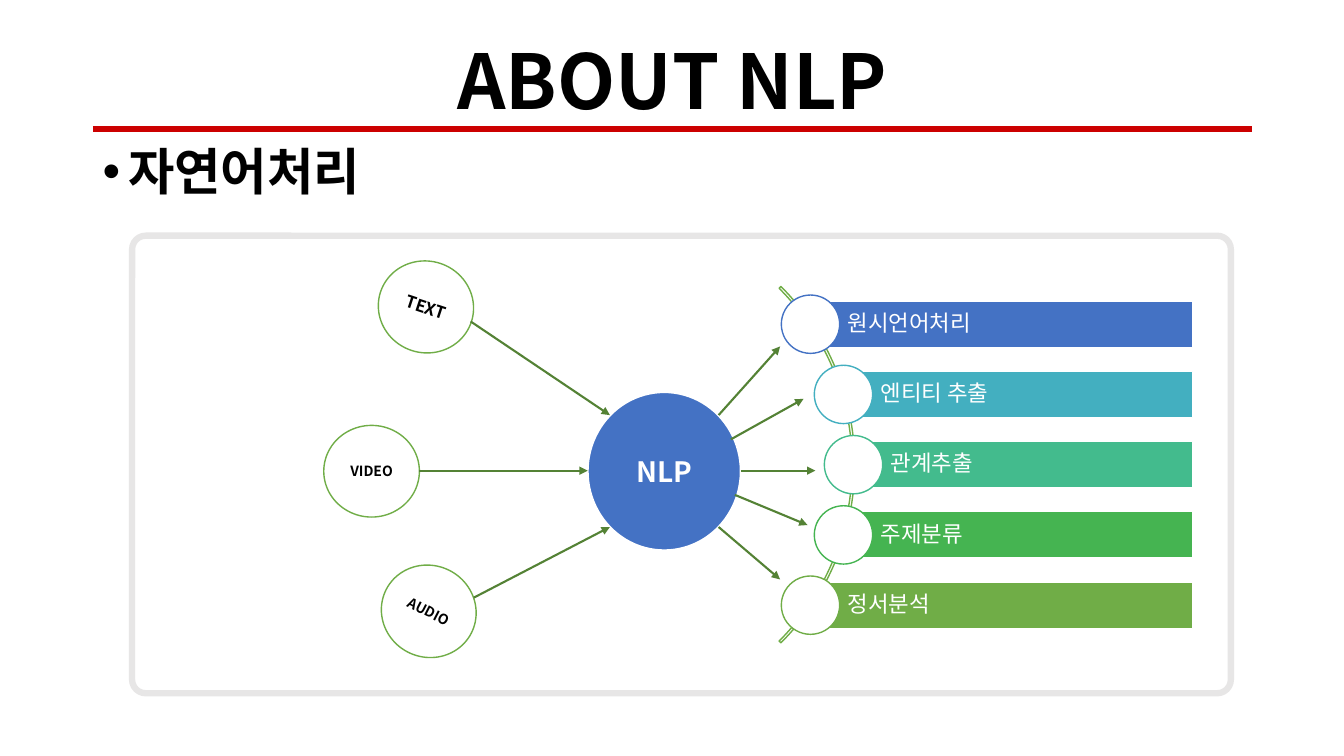
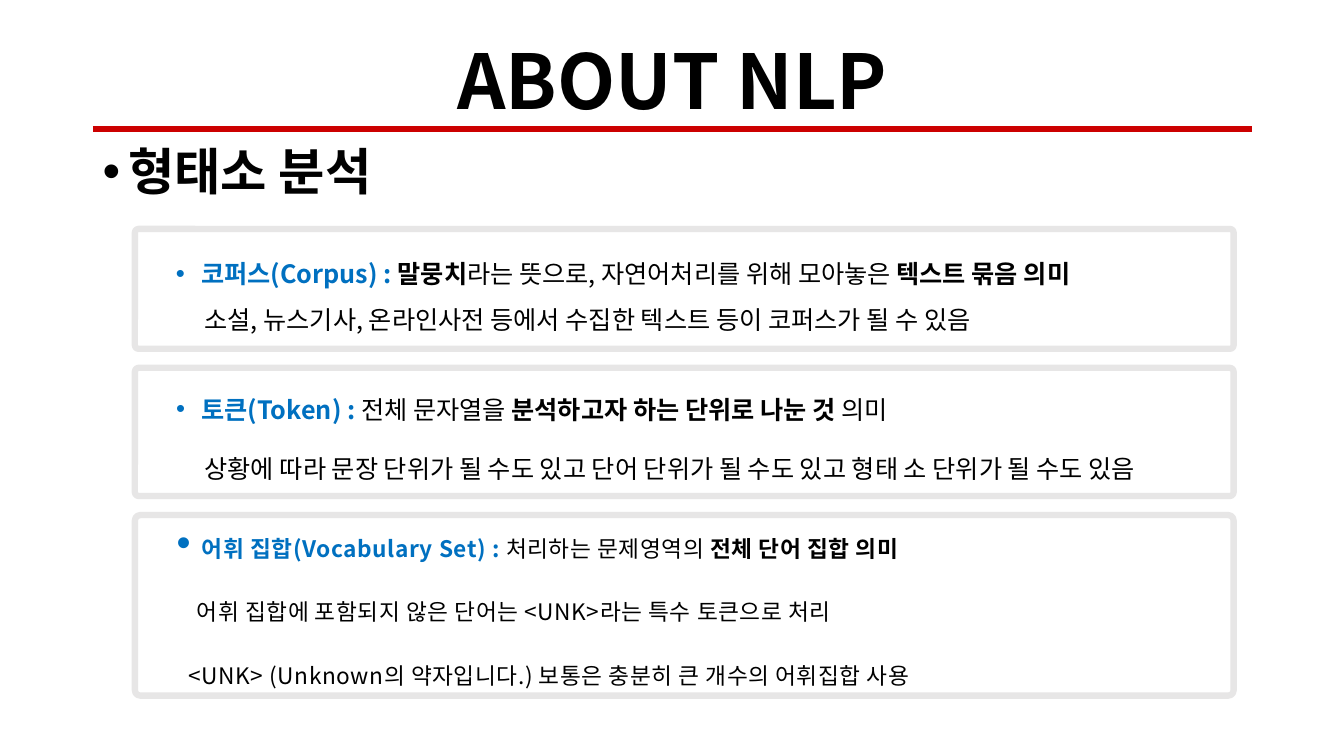
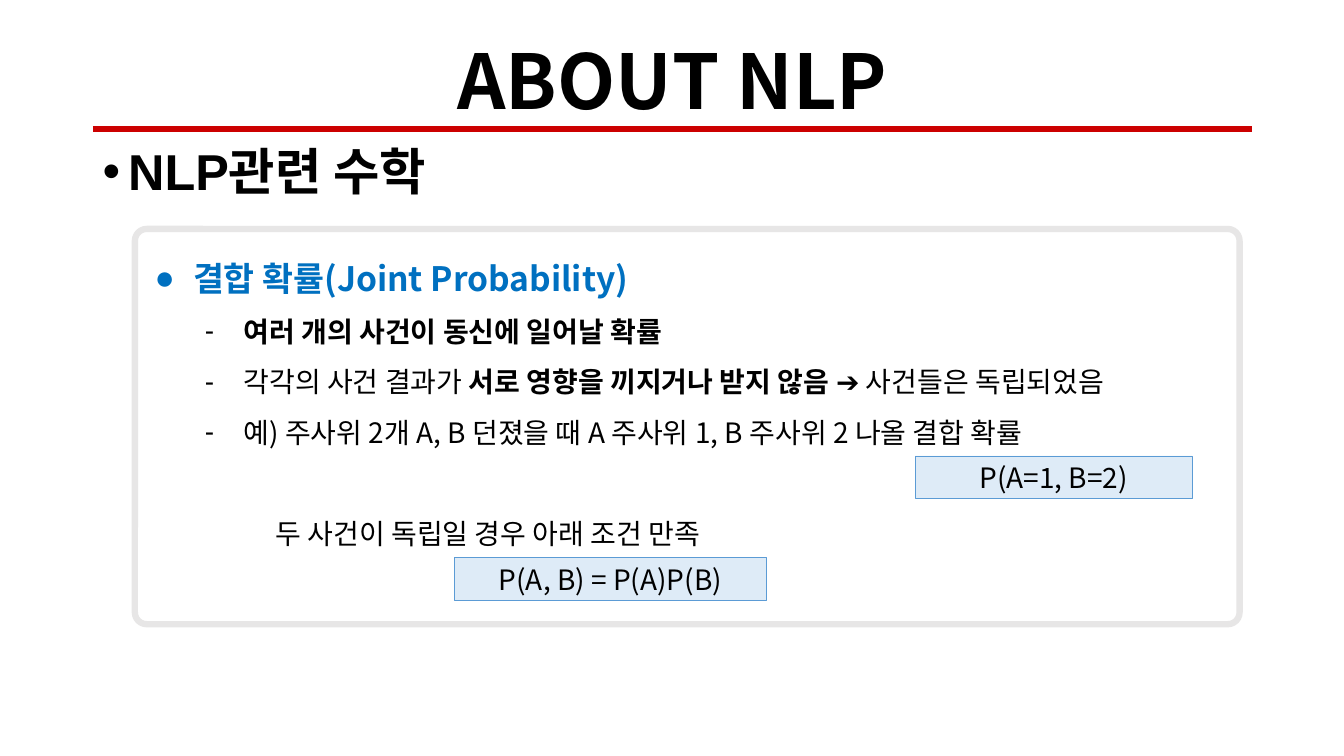
import math

import pptx
import pptx.dml.color
import pptx.enum.shapes
import pptx.enum.text
import pptx.oxml.ns
import pptx.util
from lxml import etree

Cm, Pt = pptx.util.Cm, pptx.util.Pt
SHAPE = pptx.enum.shapes.MSO_SHAPE
ALIGN = pptx.enum.text.PP_ALIGN
ANCHOR = pptx.enum.text.MSO_ANCHOR
qn = pptx.oxml.ns.qn

KOREAN = "Noto Sans CJK KR"
LATIN = "Arial"
COLORS = {
    "black": "000000", "white": "FFFFFF", "red": "CC0000", "frame": "E7E6E6",
    "key": "0070C0", "blue": "4472C4", "cyan": "43AFC0", "teal": "43BB8D",
    "green": "45B451", "olive": "70AD47", "arrow": "548235",
    "formula": "DEEBF7", "formula_line": "5B9BD5",
}
KEY = {"bold": True, "color": "key"}
BOLD = {"bold": True}


def rgb(name):
    return pptx.dml.color.RGBColor.from_string(COLORS[name])


def add_run(p, text, size=18, color="black", name=KOREAN, bold=False, **attrs):
    """Add a run; attrs are raw attributes such as spc and baseline."""
    r = p.add_run()
    r.text = text
    for key, value in {"size": Pt(size), "name": name, "bold": bold}.items():
        setattr(r.font, key, value)
    r.font.color.rgb = rgb(color)
    rpr = r.font._element
    etree.SubElement(rpr, qn("a:ea")).set("typeface", KOREAN)
    for key, value in attrs.items():
        rpr.set(key, value)


def set_bullet(p, char, left, hanging, percent=100):
    ppr = p._p.get_or_add_pPr()
    ppr.set("marL", str(Cm(left)))
    ppr.set("indent", str(Cm(-hanging)))
    if char:
        etree.SubElement(ppr, qn("a:buSzPct")).set("val", str(percent * 1000))
        etree.SubElement(ppr, qn("a:buFont")).set("typeface", LATIN)
        etree.SubElement(ppr, qn("a:buChar")).set("char", char)
    else:
        etree.SubElement(ppr, qn("a:buNone"))


def write(tf, paragraphs, insets=(0.25, 0.13, 0.25, 0.13), anchor=ANCHOR.MIDDLE):
    """Fill a frame with (format, bullet, runs) paragraphs."""
    frame = dict(zip(("margin_left", "margin_top", "margin_right", "margin_bottom"),
                     map(Cm, insets)))
    frame.update(word_wrap=True, vertical_anchor=anchor,
                 auto_size=pptx.enum.text.MSO_AUTO_SIZE.NONE)
    for key, value in frame.items():
        setattr(tf, key, value)
    for i, (fmt, bullet, runs) in enumerate(paragraphs):
        p = tf.paragraphs[0] if i == 0 else tf.add_paragraph()
        for key, value in {"alignment": ALIGN.LEFT, **fmt}.items():
            setattr(p, key, value)
        if bullet:
            set_bullet(p, *bullet)
        for text, style in runs:
            add_run(p, text, **style)


def add_box(s, kind, box, fill, line, width):
    sp = s.shapes.add_shape(kind, *map(Cm, box))
    sp.shadow.inherit = False
    if fill:
        sp.fill.solid()
        sp.fill.fore_color.rgb = rgb(fill)
    else:
        sp.fill.background()
    sp.line.color.rgb = rgb(line)
    sp.line.width = Pt(width)
    return sp


def add_label(sp, text, insets=(0, 0, 0, 0), **style):
    write(sp.text_frame, [({"alignment": ALIGN.CENTER}, None, [(text, style)])], insets)


def add_line(s, ends, color, width, arrow=False):
    c = s.shapes.add_connector(pptx.enum.shapes.MSO_CONNECTOR.STRAIGHT, *map(Cm, ends))
    c.line.color.rgb = rgb(color)
    c.line.width = Pt(width)
    if arrow:
        etree.SubElement(c.line._get_or_add_ln(), qn("a:tailEnd")).set("type", "triangle")
    etree.SubElement(c._element.spPr, qn("a:effectLst"))


def add_panel(s, box):
    sp = add_box(s, SHAPE.ROUNDED_RECTANGLE, box, "white", "frame", 4.5)
    sp.adjustments[0] = 0.03
    return sp


def add_topic_slide(prs, topic):
    """Add a slide with the shared title, red rule and bulleted topic."""
    s = prs.slides.add_slide(prs.slide_layouts[5])
    title = s.shapes.title
    title.left, title.top, title.width, title.height = map(Cm, (2.34, 1.02, 29.21, 2.24))
    write(title.text_frame, [({"alignment": ALIGN.CENTER, "line_spacing": 0.9}, None,
                              [("ABOUT NLP", {"size": 54, "bold": True})])])
    sub = s.shapes.add_textbox(*map(Cm, (2.34, 3.58, 29.21, 1.8)))
    write(sub.text_frame, [({"line_spacing": 0.9, "space_before": Pt(10)},
                            ("•", 0.64, 0.64),
                            [(topic, {"size": 36, "bold": True, "name": LATIN})])],
          anchor=ANCHOR.TOP)
    add_line(s, (2.34, 3.25, 31.55, 3.25), "red", 4.5)
    return s


def add_inputs(s, x, y):
    for text, dx, dy, turn, size in (("TEXT", 6.2, 0.64, 18.2, 12),
                                     ("VIDEO", 4.83, 4.78, 0, 10),
                                     ("AUDIO", 6.27, 8.31, 27.2, 10)):
        sp = add_box(s, SHAPE.OVAL, (x + dx, y + dy, 2.41, 2.31), "white", "olive", 1)
        sp.rotation = turn
        add_label(sp, text, size=size, bold=True)


def add_tasks(s, x, y):
    """Draw the arc centred at x, y with the task bars hung along it."""
    diameter, radius, pitch, bar_h, dot, right = 12.7, 6.32, 1.77, 1.17, 1.47, 14.86
    arc = add_box(s, SHAPE.BLOCK_ARC,
                  (x - diameter / 2, y - diameter / 2, diameter, diameter),
                  None, "olive", 1)
    for i, value in enumerate((189, 27, 0.005)):
        arc.adjustments[i] = value
    tasks = (("원시언어처리", "blue"), ("엔티티 추출", "cyan"), ("관계추출", "teal"),
             ("주제분류", "green"), ("정서분석", "olive"))
    for i, (text, color) in enumerate(tasks):
        dy = (i - 2) * pitch
        dx = math.sqrt(radius ** 2 - dy ** 2)
        bar = add_box(s, SHAPE.RECTANGLE,
                      (x + dx, y + dy - bar_h / 2, right - dx, bar_h), color, "white", 1)
        write(bar.text_frame, [({"line_spacing": 0.9}, None,
                                [(text, {"size": 16, "color": "white"})])],
              (0.94, 0.1, 0.1, 0.1))
        add_box(s, SHAPE.OVAL, (x + dx - dot / 2, y + dy - dot / 2, dot, dot),
                "white", color, 1)


def add_nlp_diagram(s, box):
    x, y = box[:2]
    add_panel(s, box)
    add_inputs(s, x, y)
    hub = add_box(s, SHAPE.OVAL, (x + 11.48, y + 3.94, 3.86, 3.99), "blue", "white", 1.5)
    add_label(hub, "NLP", size=20, bold=True, color="white")
    add_tasks(s, x + 11.86, y + 5.77)
    for x1, y1, x2, y2 in ((8.53, 2.16, 12.04, 4.52), (7.24, 5.92, 11.48, 5.92),
                           (8.61, 9.12, 12.04, 7.34), (14.78, 4.52, 16.33, 2.79),
                           (15.09, 5.13, 16.92, 4.11), (15.34, 5.92, 17.22, 5.92),
                           (15.19, 6.53, 17.02, 7.29), (14.78, 7.34, 16.33, 8.66)):
        add_line(s, (x + x1, y + y1, x + x2, y + y2), "arrow", 1.5, arrow=True)


def add_term_panels(s, x, y, w, gap):
    """Stack one panel per term: a bulleted definition and indented remarks."""
    small = {"size": 28, "baseline": "1000", "spc": "40"}
    terms = (
        (3.02, 32.5, 0.6, {},
         [("코퍼스(Corpus) : ", KEY), ("말뭉치", BOLD),
          ("라는 뜻으로, 자연어처리를 위해 모아놓은 ", {}), ("텍스트 묶음 의미", BOLD)],
         [(0.74, "소설, 뉴스기사, 온라인사전 등에서 수집한 텍스트 등이 코퍼스가 될 수 있음")]),
        (3.23, 31, 11.1, {},
         [("토큰(Token) : ", KEY), ("전체 문자열을 ", {}),
          ("분석하고자 하는 단위로 나눈 것 ", BOLD), ("의미", {})],
         [(0.74, "상황에 따라 문장 단위가 될 수도 있고 단어 단위가 될 수도 있고 "
                 "형태 소 단위가 될 수도 있음")]),
        (4.55, 34, 11.1, small,
         [("어휘 집합(Vocabulary Set) : ", KEY), ("처리하는 문제영역의 ", {}),
          ("전체 단어 집합 의미", BOLD)],
         [(0.53, "어휘 집합에 포함되지 않은 단어는 <UNK>라는 특수 토큰으로 처리"),
          (0.33, "<UNK> (Unknown의 약자입니다.) 보통은 충분히 큰 개수의 어휘집합 사용")]),
    )
    for h, pitch, before, style, definition, remarks in terms:
        fmt = {"line_spacing": Pt(pitch), "space_before": Pt(before)}
        paragraphs = [(fmt, ("•", 0.66, 0.64, 102),
                       [(text, {**style, **look}) for text, look in definition])]
        paragraphs += [(fmt, (None, left, 0), [(text, style)]) for left, text in remarks]
        write(add_panel(s, (x, y, w, h)).text_frame, paragraphs, (0.99, 0.13, 0.25, 0.13))
        y += h + gap


def add_probability_panel(s, box):
    x, y = box[:2]
    body, arial = {"size": 20}, {"size": 20, "name": LATIN}
    fmt, dash = {"line_spacing": Pt(36)}, ("-", 2.24, 0.97)
    write(add_panel(s, box).text_frame, [
        ({"line_spacing": Pt(43)}, ("●", 0.97, 0.97),
         [("결합 확률(Joint Probability)", {**KEY, "size": 24})]),
        (fmt, dash, [("여러 개의 사건이 동신에 일어날 확률", {**arial, **BOLD})]),
        (fmt, dash, [("각각의 사건 결과가 ", arial),
                     ("서로 영향을 끼지거나 받지 않음 ", {**arial, **BOLD}),
                     ("➔ 사건들은 독립되었음", arial)]),
        (fmt, dash, [("예) 주사위 2개 A, B 던졌을 때 A 주사위 1, B 주사위 2 나올 결합 확률",
                      body)]),
        ({**fmt, "space_before": Pt(36)}, (None, 3.05, 0),
         [("두 사건이 독립일 경우 아래 조건 만족", body)]),
    ], (0.41, 0.13, 0.25, 0.13), ANCHOR.TOP)
    for text, dx, dy, w, h in (("P(A=1, B=2)", 19.66, 5.72, 6.99, 1.07),
                               ("P(A, B) = P(A)P(B)", 8.05, 8.28, 7.87, 1.09)):
        sp = add_box(s, SHAPE.RECTANGLE, (x + dx, y + dy, w, h),
                     "formula", "formula_line", 0.5)
        add_label(sp, text, size=20)


def main():
    prs = pptx.Presentation()
    prs.slide_width, prs.slide_height = Cm(33.87), Cm(19.05)
    add_nlp_diagram(add_topic_slide(prs, "자연어처리"), (3.33, 5.94, 27.69, 11.53))
    add_term_panels(add_topic_slide(prs, "형태소 분석"), 3.4, 5.77, 27.69, 0.48)
    add_probability_panel(add_topic_slide(prs, "NLP관련 수학"), (3.4, 5.77, 27.84, 9.96))
    prs.save("out.pptx")


if __name__ == "__main__":
    main()
